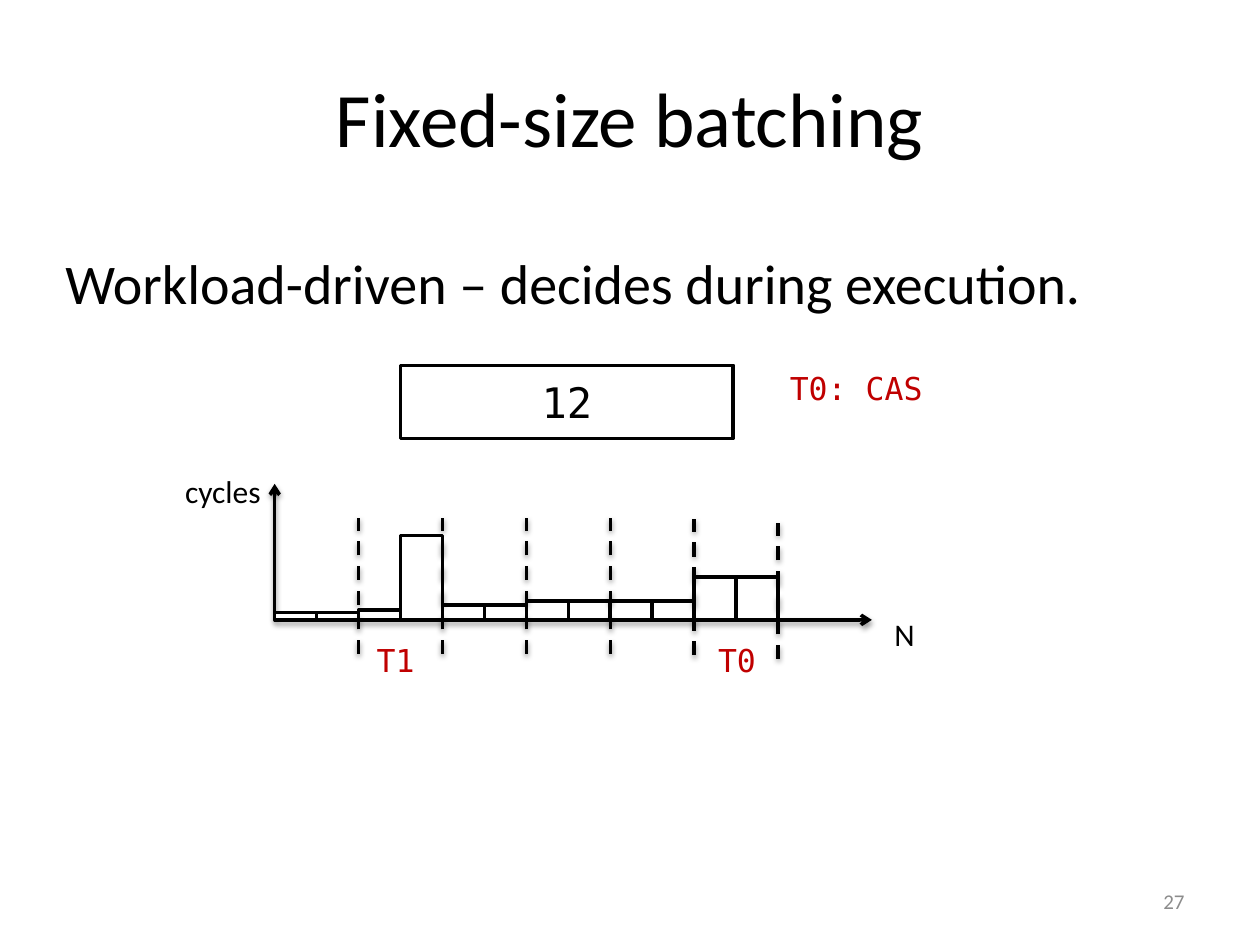
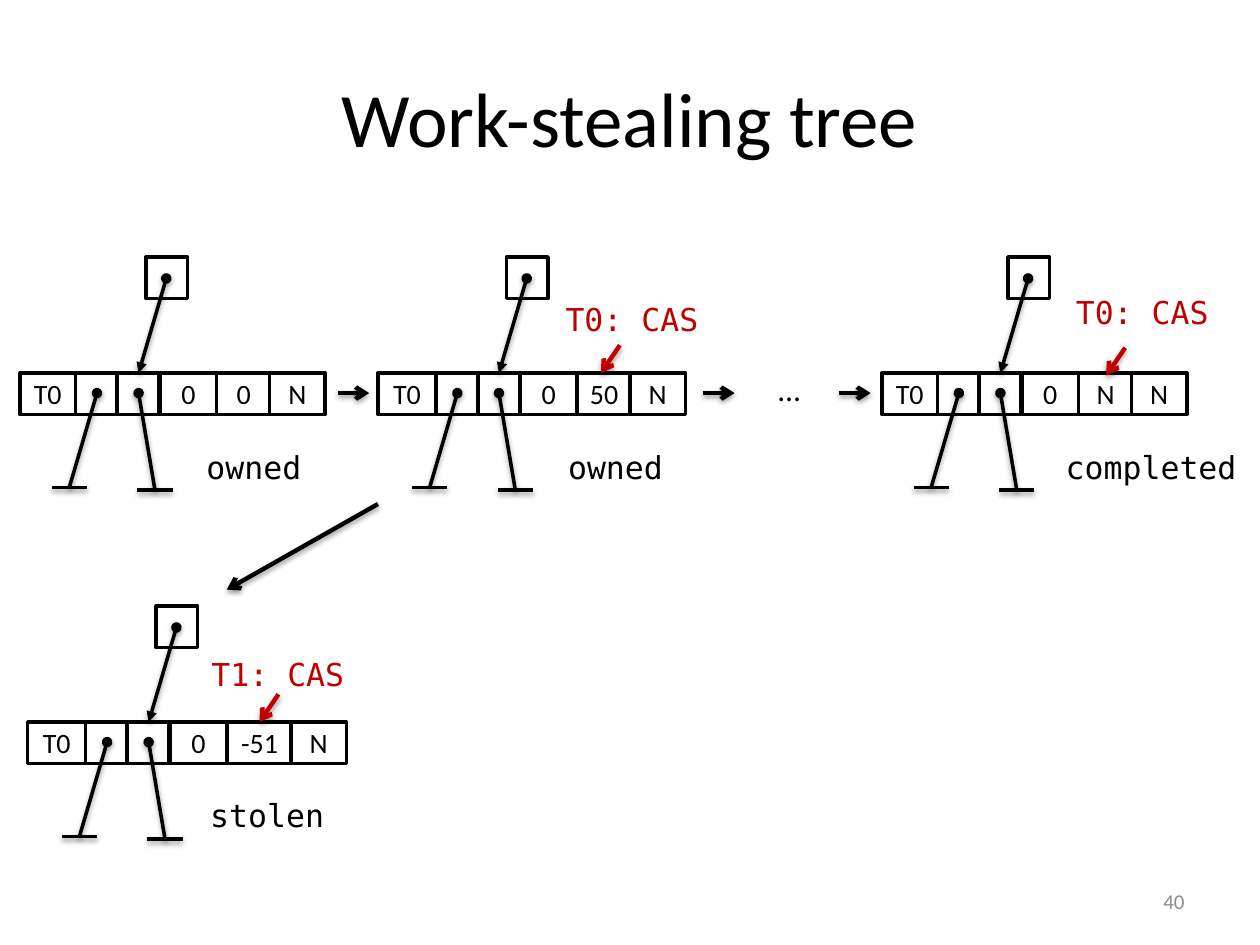
"""Build two slides on batching and the work-stealing tree."""
from lxml import etree
from pptx import Presentation, util as u
from pptx.dml.color import RGBColor
from pptx.enum import dml, shapes, text
from pptx.oxml import ns

INK = {"black": "000000", "white": "FFFFFF", "red": "C00000", "grey": "8C8C8C"}
SANS, MONO = "Calibri", "DejaVu Sans Mono"
LEFT, MID, RIGHT = text.PP_ALIGN.LEFT, text.PP_ALIGN.CENTER, text.PP_ALIGN.RIGHT
STEP = 0.333


def tint(name):
    """Return the named colour."""
    return RGBColor.from_string(INK[name])


def child(node, tag, **attrs):
    """Add a drawing element under a node."""
    return etree.SubElement(node, ns.qn("a:" + tag), attrs)


class Deck:
    """Hold the style and the current slide."""

    def __init__(self):
        """Start an empty deck."""
        self.show = Presentation()
        self.show.slide_width, self.show.slide_height = u.Inches(10), u.Inches(7.5)
        self.slide = None

    def page(self, title, number):
        """Open a slide with its title and number."""
        self.slide = self.show.slides.add_slide(self.show.slide_layouts[6])
        self.label(title, 0.5, 0.3, 9, 1.25, size=44, align=MID, middle=True)
        self.label(number, 7.17, 6.95, 2.33, size=12, color="grey", align=RIGHT, middle=True)

    def fill(self, shape, words, size, font, color, align):
        """Fill a shape with one styled line."""
        shape.text_frame.text = words
        para = shape.text_frame.paragraphs[0]
        para.alignment = align
        style = para.runs[0].font
        style.size, style.name = u.Pt(size), font
        style.color.rgb = tint(color)

    def label(self, words, x, y, w, h=0.4, size=18, font=SANS, color="black",
              align=LEFT, middle=False, wrap=True):
        """Add a text box."""
        box = self.slide.shapes.add_textbox(*map(u.Inches, (x, y, w, h)))
        frame = box.text_frame
        frame.word_wrap = wrap
        if middle:
            frame.vertical_anchor = text.MSO_ANCHOR.MIDDLE
        self.fill(box, words, size, font, color, align)

    def code(self, words, x, y, w, color="black"):
        """Add a label in the fixed-width font."""
        self.label(words, x, y, w, font=MONO, color=color)

    def cell(self, x, y, w, h, words="", size=16, font=SANS):
        """Add an outlined box."""
        box = self.slide.shapes.add_shape(shapes.MSO_SHAPE.RECTANGLE,
                                          *map(u.Inches, (x, y, w, h)))
        box.shadow.inherit = False
        box.fill.solid()
        box.fill.fore_color.rgb = tint("white")
        box.line.color.rgb = tint("black")
        box.line.width = u.Pt(2)
        if words:
            frame = box.text_frame
            frame.margin_left = frame.margin_right = 0
            frame.vertical_anchor = text.MSO_ANCHOR.MIDDLE
            self.fill(box, words, size, font, "black", MID)

    def line(self, x1, y1, x2, y2, head=None, tail=None, color="black", width=2, dash=False):
        """Add a line with a soft shadow and optional ends."""
        link = self.slide.shapes.add_connector(shapes.MSO_CONNECTOR.STRAIGHT,
                                               *map(u.Inches, (x1, y1, x2, y2)))
        link.line.color.rgb = tint(color)
        link.line.width = u.Pt(width)
        if dash:
            link.line.dash_style = dml.MSO_LINE.DASH
        edge = link.get_or_add_ln()
        if head:
            child(edge, "headEnd", type=head)
        if tail:
            child(edge, "tailEnd", type=tail)
        glow = child(child(link.element.spPr, "effectLst"), "outerShdw",
                     blurRad=str(u.Pt(3.1)), dist=str(u.Pt(1.6)), dir="5400000", rotWithShape="0")
        child(child(glow, "srgbClr", val=INK["black"]), "alpha", val="38000")

    def arrow(self, x1, y1, x2, y2, color="black"):
        """Add a bold open arrow."""
        self.line(x1, y1, x2, y2, tail="arrow", color=color, width=2.5)

    def tree(self, x, y, value, own=0.44, wide=0.43):
        """Draw a node with its root box, fields and two null children."""
        side = 0.33
        self.cell(x + 0.56, y - 0.92, side, side)
        self.cell(x, y, side, side)
        self.cell(x + STEP, y, side, side)
        self.cell(x + 0.67, y, 0.45, side, "0")
        self.cell(x + 1.12, y, wide, side, value)
        self.cell(x - own, y, own, side, "T0")
        self.cell(x + 1.11 + wide, y, 0.44, side, "N")
        self.line(x + 0.72, y - 0.75, x + 0.5, y, head="oval", tail="triangle")
        for top, foot, drop in ((0.17, -0.05, 0.91), (0.5, 0.63, 0.93)):
            self.line(x + top, y + 0.16, x + foot, y + drop, head="oval")
            self.line(x + foot + 0.14, y + drop, x + foot - 0.14, y + drop)


def batch(deck):
    """Build the batching slide."""
    deck.page("Fixed-size batching", "27")
    deck.label("Workload-driven – decides during execution.", 0.42, 1.92, 9.42, 0.64, size=32)
    left, base = 2.18, 4.92
    deck.line(left, base, 6.92, base, tail="arrow")
    deck.line(left, base, left, 3.84, tail="arrow")
    costs = [0.06] * 2 + [0.08, 0.67] + [0.12] * 2 + [0.15] * 4 + [0.34] * 2
    for i, cost in enumerate(costs):
        deck.cell(left + i * STEP, base - cost, STEP, cost)
    for i, drop in enumerate((0, 0, 0, 0, 0.01, 0.04), 1):
        x = left + 2 * i * STEP
        deck.line(x, 5.19 + drop, x, 4.11 + drop, dash=True)
    deck.label("N", 7, 4.83, 0.36, wrap=False)
    deck.label("cycles", 1.37, 3.7, 0.81, wrap=False)
    deck.cell(3.18, 2.9, 2.64, 0.58, "12", 24, MONO)
    for words, x, y, w in (("T0: CAS", 6.17, 2.88, 1.83), ("T0", 5.6, 5.04, 0.58),
                           ("T1", 2.89, 5.04, 0.58)):
        deck.code(words, x, y, w, "red")


def steal(deck):
    """Build the tree slide."""
    deck.page("Work-stealing tree", "40")
    row = 2.96
    deck.tree(0.6, row, "0")
    deck.tree(3.46, row, "50", own=0.46)
    deck.tree(7.44, row, "N")
    deck.tree(0.68, 5.73, "-51", own=0.46, wide=0.52)
    for x in (2.68, 5.58, 6.66):
        deck.arrow(x, 3.12, x + 0.25, 3.12)
    deck.arrow(3, 4, 1.8, 4.68)
    deck.label("…", 6.08, 2.89, 0.38, wrap=False)
    for words, x, y, w in (("owned", 1.54, 3.51, 1.19), ("owned", 4.41, 3.51, 1.19),
                           ("completed", 8.36, 3.51, 1.58), ("stolen", 1.57, 6.27, 1.19)):
        deck.code(words, x, y, w)
    for words, x, y, tip, top in (("T0: CAS", 4.39, 2.33, 4.77, 2.74),
                                  ("T0: CAS", 8.44, 2.28, 8.78, 2.76),
                                  ("T1: CAS", 1.58, 5.15, 2.06, 5.51)):
        deck.code(words, x, y, 1.3, "red")
        deck.arrow(tip + 0.15, top, tip, top + 0.22, "red")


def main():
    """Build and save the deck."""
    deck = Deck()
    batch(deck)
    steal(deck)
    deck.show.save("out.pptx")


if __name__ == "__main__":
    main()
